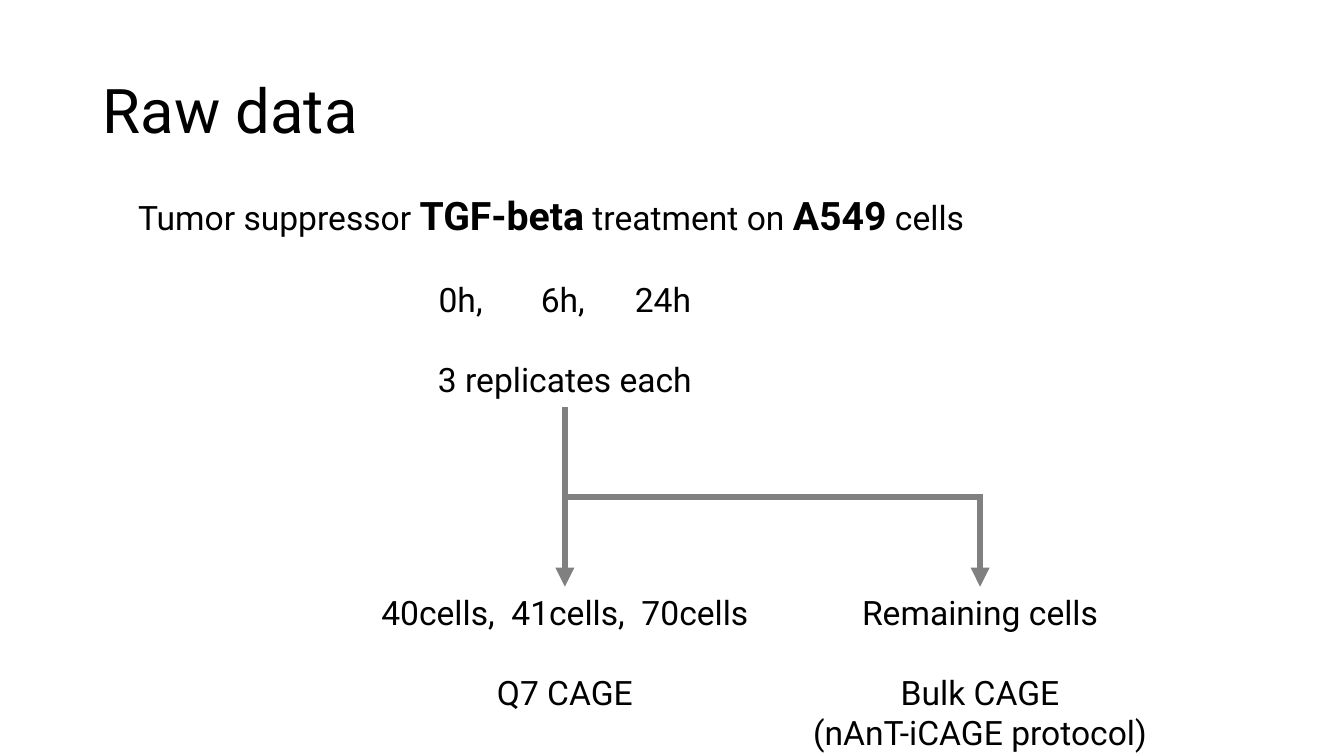
from lxml import etree
from pptx import Presentation
from pptx.dml.color import RGBColor
from pptx.enum.shapes import MSO_CONNECTOR
from pptx.enum.text import MSO_ANCHOR, PP_ALIGN
from pptx.oxml.ns import qn
from pptx.util import Inches, Pt

LEFT, CENTER = PP_ALIGN.LEFT, PP_ALIGN.CENTER
MIDDLE = MSO_ANCHOR.MIDDLE
STRAIGHT, ELBOW = MSO_CONNECTOR.STRAIGHT, MSO_CONNECTOR.ELBOW
BOTTOM, TOP = 2, 0
TITLE_ONLY = 5
COLORS = {"text": "000000", "arrow": "808080"}

# Shares of the slide, in percent
TRUNK, BRANCH = 42.03, 72.92
FORK_TOP, FORK_END = 53.87, 77.6
TIME_STOPS = (32.65, 40.25, 47.25)


class FlowSlide:
    font, body, strong, heading = "Roboto", 24, 28, 44
    gap, line_width, inset = 28.6, 4.5, Inches(0.1)

    def __init__(self, deck):
        self.width, self.height = deck.slide_width, deck.slide_height
        self.slide = deck.slides.add_slide(deck.slide_layouts[TITLE_ONLY])

    def x(self, share):
        return round(self.width * share / 100)

    def y(self, share):
        return round(self.height * share / 100)

    def run(self, paragraph, text, size, bold=False):
        run = paragraph.add_run()
        run.text = text
        run.font.name, run.font.size, run.font.bold = self.font, Pt(size), bold
        run.font.color.rgb = RGBColor.from_string(COLORS["text"])

    def title(self, text, left, top, width, height):
        title = self.slide.shapes.title
        title.left, title.top = self.x(left), self.y(top)
        title.width, title.height = self.x(width), self.y(height)
        title.text_frame.vertical_anchor = MIDDLE
        paragraph = title.text_frame.paragraphs[0]
        paragraph.alignment, paragraph.line_spacing = LEFT, 0.9
        self.run(paragraph, text, self.heading)

    def step(self, center, top, width, height):
        box = self.slide.shapes.add_textbox(
            self.x(center - width / 2), self.y(top), self.x(width), self.y(height))
        box.text_frame.word_wrap = True
        return box

    def line(self, box, *parts, align=CENTER, spaced=False):
        """Parts are plain strings, or one-item tuples for emphasis."""
        frame = box.text_frame
        paragraph = frame.paragraphs[0]
        if paragraph.runs:
            paragraph = frame.add_paragraph()
        paragraph.alignment = align
        paragraph.space_before = Pt(self.gap if spaced else 0)
        for part in parts:
            if isinstance(part, tuple):
                self.run(paragraph, part[0], self.strong, bold=True)
            else:
                self.run(paragraph, part, self.body)
        return paragraph

    def tabbed_line(self, box, items, stops):
        paragraph = self.line(box, "".join("\t" + item for item in items),
                              align=LEFT, spaced=True)
        tabs = etree.SubElement(paragraph._p.get_or_add_pPr(), qn("a:tabLst"))
        for stop in stops:
            position = self.x(stop) - box.left - self.inset
            etree.SubElement(tabs, qn("a:tab"), pos=str(position), algn="l")

    def arrow(self, kind, start, end):
        (x1, y1), (x2, y2) = start, end
        arrow = self.slide.shapes.add_connector(
            kind, self.x(x1), self.y(y1), self.x(x2), self.y(y2))
        arrow.line.color.rgb = RGBColor.from_string(COLORS["arrow"])
        arrow.line.width = Pt(self.line_width)
        outline = arrow.line._get_or_add_ln()
        etree.SubElement(outline, qn("a:miter"), lim="800000")
        etree.SubElement(outline, qn("a:tailEnd"), type="triangle")
        etree.SubElement(arrow._element.spPr, qn("a:effectLst"))
        return arrow

    def down_elbow(self, start, end):
        """Elbow that leaves and arrives vertically: a quarter turn, mirrored."""
        elbow = self.arrow(ELBOW, start, end)
        across, down = elbow.width, elbow.height
        elbow.left += (across - down) // 2
        elbow.top += (down - across) // 2
        elbow.width, elbow.height = down, across
        xfrm = elbow._element.spPr.find(qn("a:xfrm"))
        xfrm.set("rot", str(270 * 60000))
        xfrm.set("flipH", "1")


def main():
    deck = Presentation()
    deck.slide_width, deck.slide_height = Inches(13.33), Inches(7.5)
    flow = FlowSlide(deck)
    flow.title("Raw data", 6.9, 5.33, 86.27, 19.33)

    # Treatment, time points and replicates
    treatment = flow.step(TRUNK, 24.67, 64.97, FORK_TOP - 24.67)
    flow.line(treatment, "Tumor suppressor ", ("TGF-beta",), " treatment on ",
              ("A549",), " cells", align=LEFT)
    flow.tabbed_line(treatment, ("0h,", "6h,", "24h"), TIME_STOPS)
    flow.line(treatment, "3 replicates each", spaced=True)

    # Single cells
    single_cells = flow.step(TRUNK, FORK_END, 29.33, 17.47)
    flow.line(single_cells, "40cells,  41cells,  70cells")
    flow.line(single_cells, "Q7 CAGE", spaced=True)

    # Remaining cells
    remaining = flow.step(BRANCH, FORK_END, 29.93, 22.93)
    flow.line(remaining, "Remaining cells")
    flow.line(remaining, "Bulk CAGE", spaced=True)
    flow.line(remaining, "(nAnT-iCAGE protocol)")

    # Fork from the replicates to both assays
    fork = (TRUNK, FORK_TOP)
    flow.down_elbow(fork, (BRANCH, FORK_END))
    trunk = flow.arrow(STRAIGHT, fork, (TRUNK, FORK_END))
    trunk.begin_connect(treatment, BOTTOM)
    trunk.end_connect(single_cells, TOP)

    deck.save("out.pptx")


if __name__ == "__main__":
    main()
